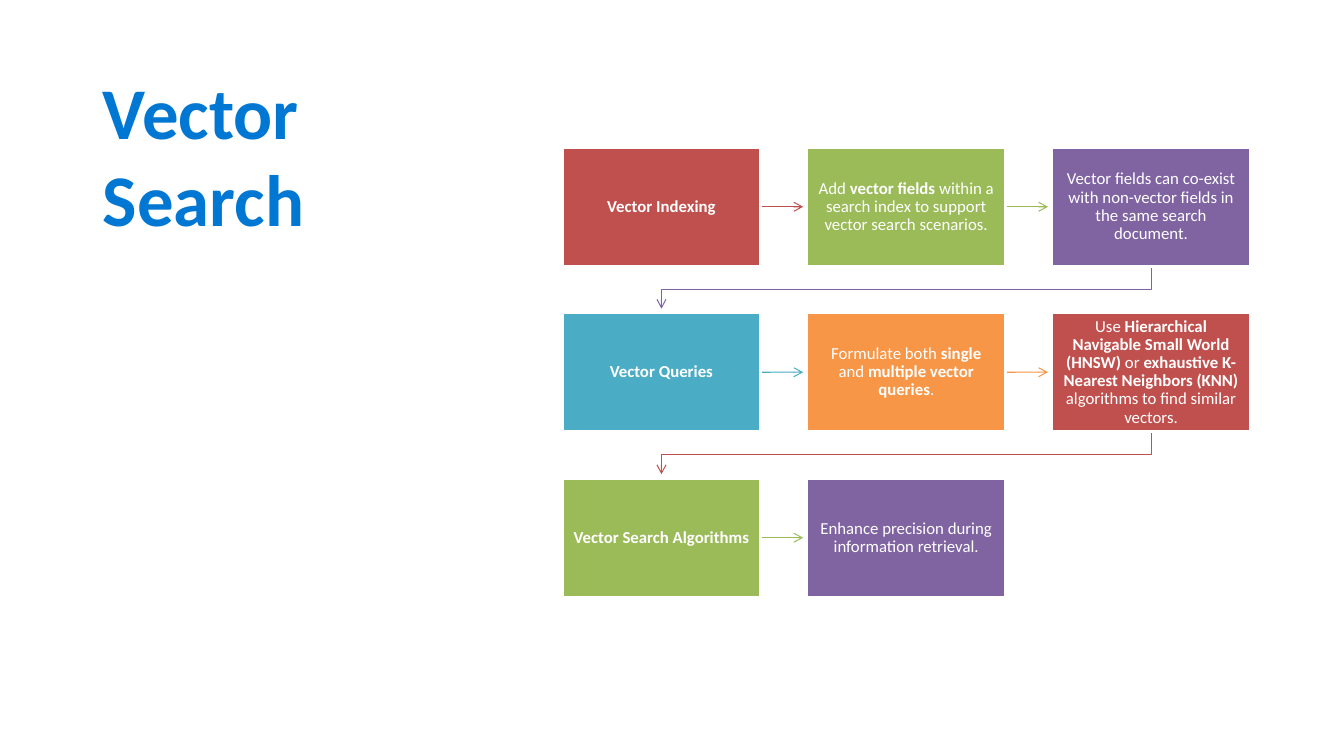
import pptx
import pptx.util
import pptx.dml.color
import pptx.enum.shapes
import pptx.enum.text
import pptx.oxml
import pptx.oxml.ns
from pptx.util import Cm

RGBColor = pptx.dml.color.RGBColor
BLUE = RGBColor(0x00, 0x78, 0xD3)
RED = RGBColor(0xC0, 0x50, 0x4D)
GREEN = RGBColor(0x9B, 0xBB, 0x59)
PURPLE = RGBColor(0x80, 0x64, 0xA2)
TEAL = RGBColor(0x4B, 0xAC, 0xC6)
ORANGE = RGBColor(0xF7, 0x96, 0x46)
WHITE = RGBColor(0xFF, 0xFF, 0xFF)

FONT = "Calibri"
COLUMNS = 3
GRID_LEFT, GRID_TOP = 14.17, 3.71
BOX_WIDTH, BOX_HEIGHT = 5, 3
COLUMN_STEP, ROW_STEP = 6.17, 4.17
ARROW_LENGTH = 1.07
TURN_DROP = 0.58

STEPS = [
    (RED, [("Vector Indexing", True)]),
    (GREEN, [("Add ", False), ("vector fields", True),
             (" within a search index to support vector search scenarios.", False)]),
    (PURPLE, [("Vector fields can co-exist with non-vector fields in the same search document.", False)]),
    (TEAL, [("Vector Queries", True)]),
    (ORANGE, [("Formulate both ", False), ("single", True), (" and ", False),
              ("multiple vector queries", True), (".", False)]),
    (RED, [("Use ", False), ("Hierarchical Navigable Small World (HNSW)", True), (" or ", False),
           ("exhaustive K-Nearest Neighbors (KNN)", True),
           (" algorithms to find similar vectors.", False)]),
    (GREEN, [("Vector Search Algorithms", True)]),
    (PURPLE, [("Enhance precision during information retrieval.", False)]),
]


def style_arrow(arrow, color):
    arrow.line.color.rgb = color
    arrow.line.width = pptx.util.Pt(0.75)
    properties = arrow.line._get_or_add_ln()
    properties.append(pptx.oxml.parse_xml(
        '<a:tailEnd xmlns:a="http://schemas.openxmlformats.org/drawingml/2006/main" type="arrow"/>'))


presentation = pptx.Presentation()
presentation.slide_width = Cm(33.87)
presentation.slide_height = Cm(19.05)
slide = presentation.slides.add_slide(presentation.slide_layouts[5])

title = slide.shapes.title
title.left, title.top, title.width, title.height = Cm(2.34), Cm(1.55), Cm(9.37), Cm(15.47)
title.text_frame.text = "Vector Search"
title.text_frame.word_wrap = True
title.text_frame.auto_size = pptx.enum.text.MSO_AUTO_SIZE.NONE
title.text_frame.vertical_anchor = pptx.enum.text.MSO_ANCHOR.TOP
title_paragraph = title.text_frame.paragraphs[0]
title_paragraph.alignment = pptx.enum.text.PP_ALIGN.LEFT
title_font = title_paragraph.runs[0].font
title_font.name = FONT
title_font.size = pptx.util.Pt(52)
title_font.bold = True
title_font.color.rgb = BLUE

for index, (color, pieces) in enumerate(STEPS):
    row, column = divmod(index, COLUMNS)
    left = GRID_LEFT + column * COLUMN_STEP
    top = GRID_TOP + row * ROW_STEP
    right, bottom = left + BOX_WIDTH, top + BOX_HEIGHT
    is_last = index == len(STEPS) - 1
    turns = column == COLUMNS - 1
    connector = None

    if turns:
        start_x = left + BOX_WIDTH / 2
        end_x = GRID_LEFT + BOX_WIDTH / 2
        turn_y = bottom + TURN_DROP
        end_y = bottom + ARROW_LENGTH
        builder = slide.shapes.build_freeform(Cm(start_x), Cm(bottom))
        builder.add_line_segments(
            [(Cm(start_x), Cm(turn_y)), (Cm(end_x), Cm(turn_y)), (Cm(end_x), Cm(end_y))],
            close=False)
        turn_arrow = builder.convert_to_shape()
        turn_arrow.shadow.inherit = False
        turn_arrow.fill.background()
        style_arrow(turn_arrow, color)
    elif not is_last:
        middle = top + BOX_HEIGHT / 2
        connector = slide.shapes.add_connector(
            pptx.enum.shapes.MSO_CONNECTOR.STRAIGHT,
            Cm(right), Cm(middle), Cm(right + ARROW_LENGTH), Cm(middle))
        style_arrow(connector, color)
        connector._element.spPr.append(pptx.oxml.parse_xml(
            '<a:effectLst xmlns:a="http://schemas.openxmlformats.org/drawingml/2006/main"/>'))

    box = slide.shapes.add_shape(
        pptx.enum.shapes.MSO_SHAPE.RECTANGLE, Cm(left), Cm(top), Cm(BOX_WIDTH), Cm(BOX_HEIGHT))
    box.shadow.inherit = False
    box.fill.solid()
    box.fill.fore_color.rgb = color
    box.line.color.rgb = WHITE
    box.line.width = pptx.util.Pt(2)
    if connector is not None:
        connector.begin_connect(box, 3)

    text_frame = box.text_frame
    text_frame.word_wrap = True
    text_frame.vertical_anchor = pptx.enum.text.MSO_ANCHOR.MIDDLE
    text_frame.margin_left = text_frame.margin_right = Cm(0.25)
    text_frame.margin_top = text_frame.margin_bottom = Cm(0.25)
    paragraph = text_frame.paragraphs[0]
    paragraph.alignment = pptx.enum.text.PP_ALIGN.CENTER
    paragraph.line_spacing = 0.9
    for text, bold in pieces:
        run = paragraph.add_run()
        run.text = text
        run.font.name = FONT
        run.font.size = pptx.util.Pt(12)
        run.font.bold = bold
        run.font.color.rgb = WHITE

presentation.save("out.pptx")
